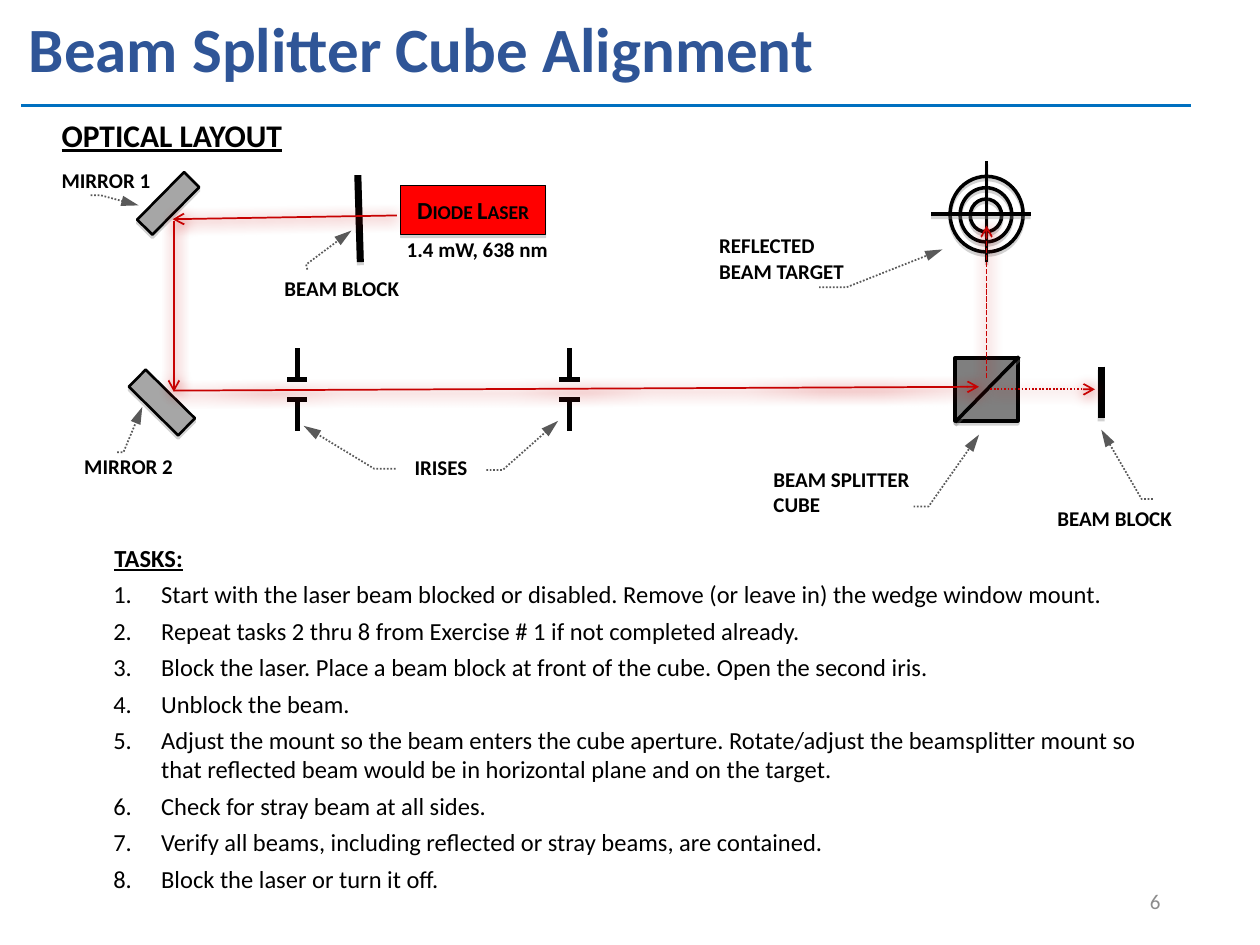
from lxml import etree
from pptx import Presentation
from pptx import util as u
from pptx.dml.color import RGBColor
from pptx.enum import dml, shapes, text
from pptx.oxml import ns

COLORS = {
    "title": "2F5597", "rule": "0070C0", "ink": "000000", "number": "8C8C8C",
    "beam": "C70202", "leader": "595959", "laser": "FF0000", "mirror": "A6A6A6",
    "cube": "7F7F7F", "shade": "808080",
}
SHADE = {"color": "shade", "alpha": 35, "blur": 0, "dist": 1.8, "angle": 90}
GLOW = {"color": "beam", "alpha": 100, "blur": 8, "dist": 1.6, "angle": 63}
DOTS, DASHES = dml.MSO_LINE.ROUND_DOT, dml.MSO_LINE.SQUARE_DOT
LEFT, CENTER, RIGHT = text.PP_ALIGN.LEFT, text.PP_ALIGN.CENTER, text.PP_ALIGN.RIGHT
TOP, MIDDLE = text.MSO_ANCHOR.TOP, text.MSO_ANCHOR.MIDDLE


def write(shape, words, size=12, color="ink", bold=True, underline=False,
          align=LEFT, anchor=TOP, wrap=True, after=0):
    frame = shape.text_frame
    frame.text = words
    frame.word_wrap = wrap
    frame.auto_size = text.MSO_AUTO_SIZE.NONE
    frame.vertical_anchor = anchor
    for paragraph in frame.paragraphs:
        paragraph.alignment = align
        paragraph.space_after = u.Pt(after)
        font = paragraph.runs[0].font
        font.name, font.size = "Calibri", u.Pt(size)
        font.bold, font.underline = bold, underline
        font.color.rgb = RGBColor.from_string(COLORS[color])
    return frame.paragraphs


def stroke(shape, color, width, dash=None, arrow=None, shadow=None):
    shape.line.color.rgb = RGBColor.from_string(COLORS[color])
    shape.line.width = u.Pt(width)
    if dash:
        shape.line.dash_style = dash
    if arrow:
        length = "lg" if arrow == "triangle" else "med"
        etree.SubElement(shape.line._get_or_add_ln(), ns.qn("a:tailEnd"),
                         type=arrow, w="med", len=length)
    effects = etree.SubElement(shape._element.spPr, ns.qn("a:effectLst"))
    if shadow:
        outer = etree.SubElement(
            effects, ns.qn("a:outerShdw"), blurRad=str(u.Pt(shadow["blur"])),
            dist=str(u.Pt(shadow["dist"])), dir=str(shadow["angle"] * 60000),
            rotWithShape="0")
        tint = etree.SubElement(outer, ns.qn("a:srgbClr"), val=COLORS[shadow["color"]])
        etree.SubElement(tint, ns.qn("a:alpha"), val=str(shadow["alpha"] * 1000))


deck = Presentation()
deck.slide_width, deck.slide_height = u.Inches(10), u.Inches(7.5)
slide = deck.slides.add_slide(deck.slide_layouts[5])
canvas = slide.shapes

title = canvas.title
title.left, title.top = u.Inches(0.13), u.Inches(0.08)
title.width, title.height = u.Inches(9.21), u.Inches(0.66)
write(title, "Beam Splitter Cube Alignment", size=36, color="title",
      anchor=MIDDLE)[0].line_spacing = 0.9

solids = [
    (shapes.MSO_SHAPE.RECTANGLE, 7.58, 2.84, 0.5, 0.5, 0, "cube", 2),
    (shapes.MSO_SHAPE.RECTANGLE, 1.25, 1.35, 0.17, 0.53, 44.6, "mirror", 1.5),
    (shapes.MSO_SHAPE.RECTANGLE, 1.01, 3.1, 0.55, 0.19, 44.6, "mirror", 1.5),
    (shapes.MSO_SHAPE.OVAL, 7.54, 1.4, 0.58, 0.6, 0, None, 2),
    (shapes.MSO_SHAPE.OVAL, 7.62, 1.49, 0.41, 0.43, 0, None, 2),
    (shapes.MSO_SHAPE.OVAL, 7.7, 1.58, 0.25, 0.26, 0, None, 2),
    (shapes.MSO_SHAPE.RECTANGLE, 3.18, 1.47, 1.15, 0.39, 0, "laser", 0.75),
]
for kind, x, y, w, h, turn, fill, width in solids:
    part = canvas.add_shape(kind, u.Inches(x), u.Inches(y), u.Inches(w), u.Inches(h))
    part.rotation = turn
    if fill:
        part.fill.solid()
        part.fill.fore_color.rgb = RGBColor.from_string(COLORS[fill])
    else:
        part.fill.background()
    stroke(part, "ink", width, shadow=SHADE)
    if fill == "laser":
        caption = write(part, "Diode Laser", size=14, align=CENTER, anchor=MIDDLE)
        caption[0].runs[0]._r.get_or_add_rPr().set("cap", "small")

lines = [
    (0.17, 0.84, 9.45, 0.84, {"color": "rule", "width": 1.5}),
    (7.83, 1.28, 7.83, 2.08, {"color": "ink", "width": 2, "shadow": SHADE}),
    (7.39, 1.7, 8.18, 1.7, {"color": "ink", "width": 2, "shadow": SHADE}),
    (8.09, 2.83, 7.58, 3.35, {"color": "ink", "width": 2, "shadow": SHADE}),
    (2.86, 2.08, 2.84, 1.39, {"color": "ink", "width": 4, "shadow": SHADE}),
    (8.74, 2.91, 8.74, 3.32, {"color": "ink", "width": 4, "shadow": SHADE}),
]
for iris_x in (2.36, 4.52):
    for edge, end in ((3.01, 2.76), (3.17, 3.42)):
        jaw = {"color": "ink", "width": 3}
        lines.append((iris_x - 0.08, edge, iris_x + 0.08, edge, jaw))
        lines.append((iris_x, edge, iris_x, end, jaw))
for *ends, dash in [
    (3.15, 1.71, 1.37, 1.74, None),
    (1.38, 1.75, 1.38, 3.11, None),
    (1.38, 3.1, 7.77, 3.07, None),
    (7.86, 3.09, 8.69, 3.09, DOTS),
    (7.83, 3, 7.83, 1.79, DASHES),
]:
    lines.append((*ends, {"color": "beam", "width": 1, "dash": dash,
                          "arrow": "arrow", "shadow": GLOW}))
for x1, y1, x2, y2, look in lines:
    line = canvas.add_connector(shapes.MSO_CONNECTOR.STRAIGHT, u.Inches(x1),
                                u.Inches(y1), u.Inches(x2), u.Inches(y2))
    stroke(line, **look)

leaders = [
    [(2.44, 2.14), (2.43, 2.1), (2.79, 1.83)],
    [(3.14, 3.72), (2.97, 3.72), (2.41, 3.38)],
    [(3.86, 3.73), (3.99, 3.73), (4.43, 3.34)],
    [(7.25, 4.02), (7.37, 4.02), (7.77, 3.45)],
    [(6.5, 2.28), (6.72, 2.28), (7.48, 1.98)],
    [(9.15, 3.96), (9.06, 3.96), (8.74, 3.41)],
    [(0.93, 3.59), (0.98, 3.59), (1.13, 3.23)],
    [(0.72, 1.55), (0.8, 1.55), (1.1, 1.63)],
]
for route in leaders:
    start, *rest = [(u.Inches(x), u.Inches(y)) for x, y in route]
    builder = canvas.build_freeform(*start)
    builder.add_line_segments(rest, close=False)
    leader = builder.convert_to_shape()
    leader.fill.background()
    stroke(leader, "leader", 1, dash=DOTS, arrow="triangle")

labels = [
    ("OPTICAL LAYOUT", 0.39, 0.87, 1.97, 0.4,
     {"size": 18, "underline": True, "wrap": False}),
    ("MIRROR 1", 0.39, 1.28, 0.93, 0.25, {}),
    ("MIRROR 2", 0.57, 3.55, 0.93, 0.3, {}),
    ("BEAM BLOCK", 2.16, 2.14, 1.14, 0.31, {}),
    ("1.4 mW, 638 nm", 3.13, 1.83, 1.34, 0.3, {}),
    ("IRISES", 3.06, 3.56, 0.88, 0.3, {"align": CENTER}),
    ("REFLECTED BEAM TARGET", 5.61, 1.8, 1.33, 0.5, {}),
    ("BEAM SPLITTER CUBE", 6.04, 3.65, 1.62, 0.5, {}),
    ("BEAM BLOCK", 7.78, 3.96, 1.62, 0.31, {"align": RIGHT}),
    ("6", 7.06, 6.95, 2.25, 0.4, {"color": "number", "bold": False,
                                  "align": RIGHT, "anchor": MIDDLE}),
]
for words, x, y, w, h, look in labels:
    write(canvas.add_textbox(u.Inches(x), u.Inches(y), u.Inches(w), u.Inches(h)),
          words, **look)

tasks = [
    "TASKS:",
    "Start with the laser beam blocked or disabled. Remove (or leave in) the wedge window mount.",
    "Repeat tasks 2 thru 8 from Exercise # 1 if not completed already.",
    "Block the laser. Place a beam block at front of the cube. Open the second iris.",
    "Unblock the beam.",
    "Adjust the mount so the beam enters the cube aperture. Rotate/adjust the beamsplitter "
    "mount so that reflected beam would be in horizontal plane and on the target.",
    "Check for stray beam at all sides.",
    "Verify all beams, including reflected or stray beams, are contained.",
    "Block the laser or turn it off.",
]
task_box = canvas.add_textbox(u.Inches(0.49), u.Inches(4.26), u.Inches(8.95), u.Inches(2.91))
heading, *steps = write(task_box, "\n".join(tasks), size=14, bold=False, after=4)
heading.runs[0].font.bold = heading.runs[0].font.underline = True
heading._p.get_or_add_pPr().set("marL", str(u.Inches(0.32)))
for step in steps:
    layout = step._p.get_or_add_pPr()
    layout.set("marL", str(u.Inches(0.69)))
    layout.set("indent", str(u.Inches(-0.38)))
    etree.SubElement(layout, ns.qn("a:buAutoNum"), type="arabicPeriod")

deck.save("out.pptx")
